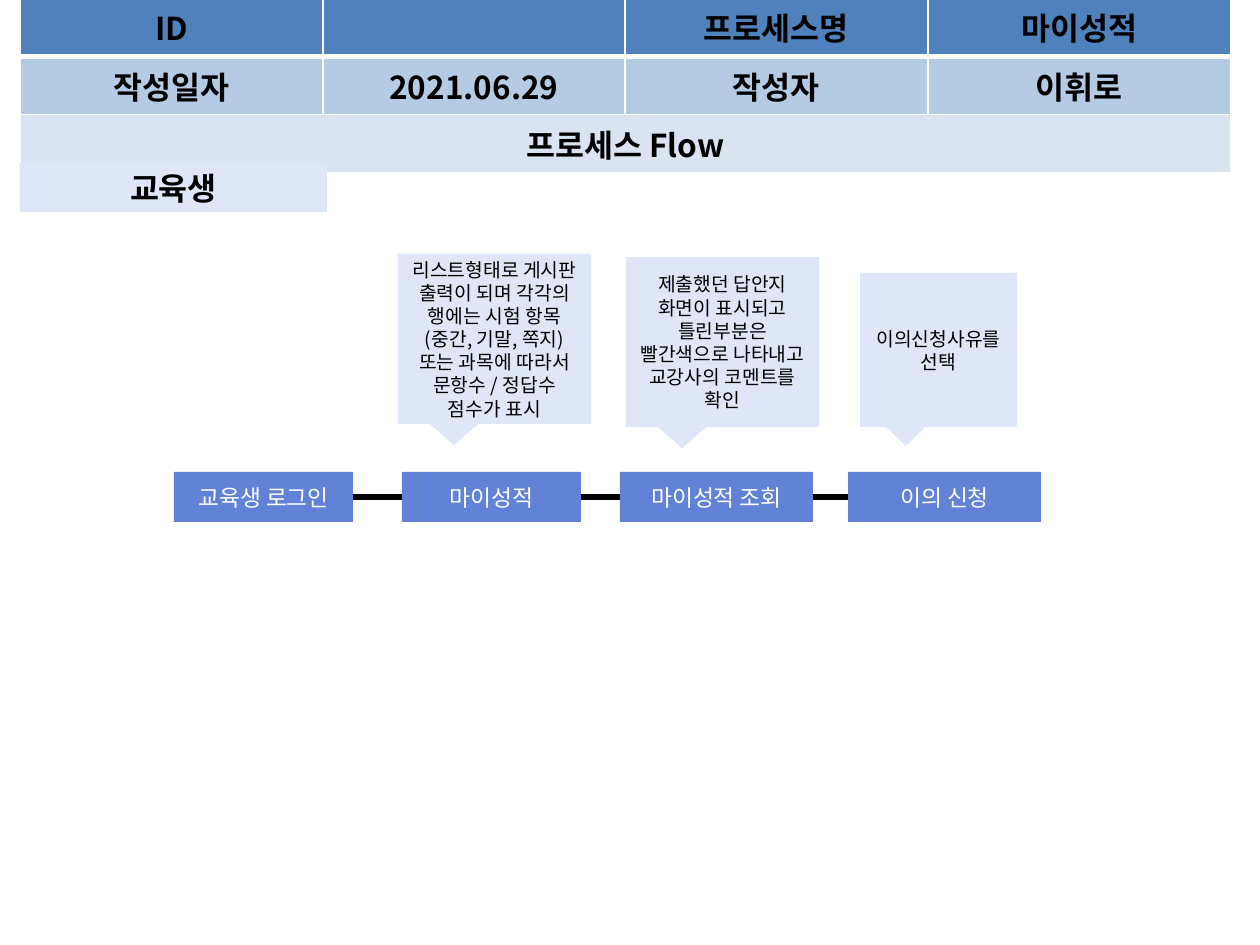
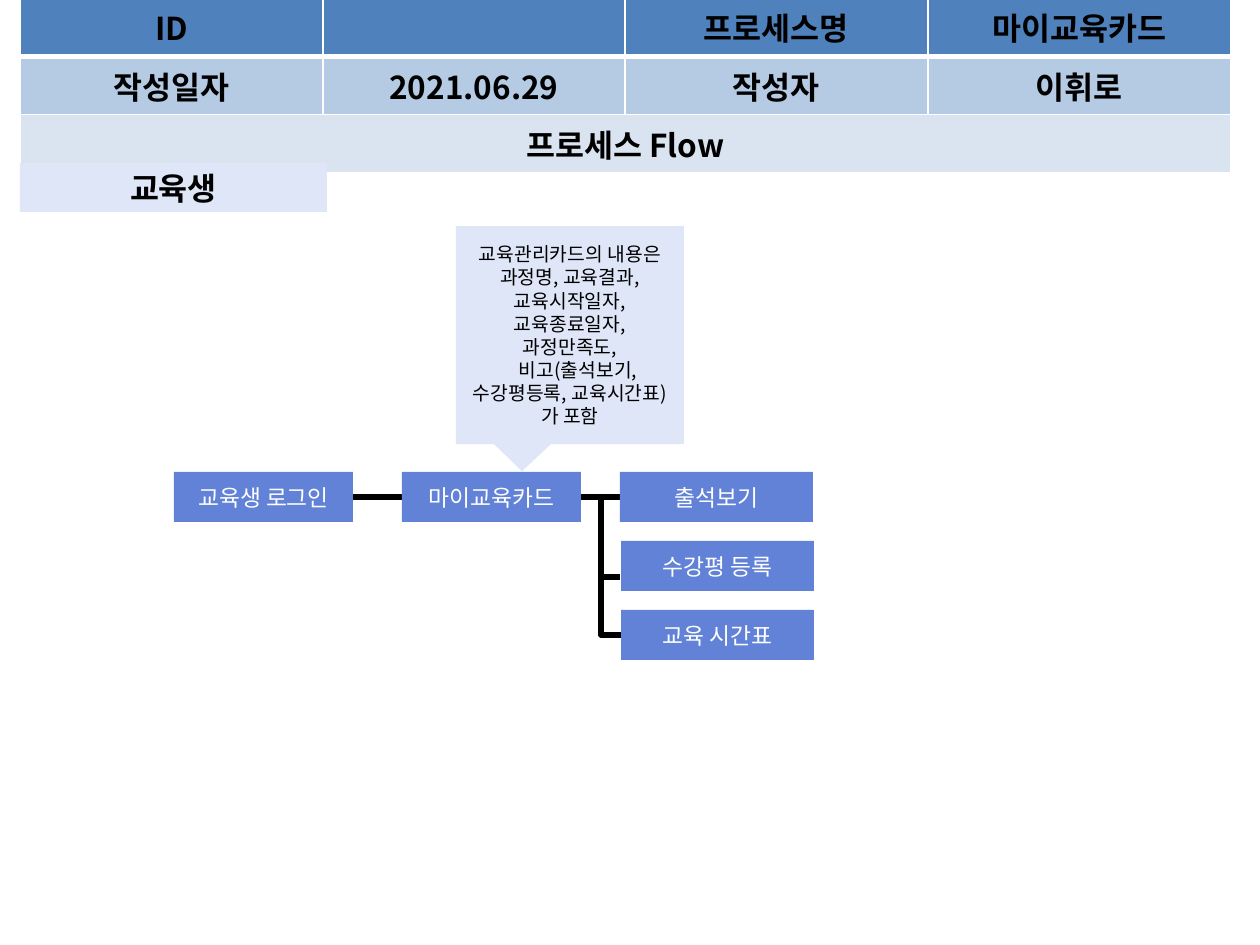
from dataclasses import dataclass

from lxml.etree import SubElement
from pptx import Presentation
from pptx.dml.color import RGBColor
from pptx.enum.shapes import MSO_CONNECTOR, MSO_SHAPE
from pptx.enum.text import MSO_ANCHOR, PP_ALIGN
from pptx.oxml.ns import qn
from pptx.util import Inches, Pt


# Theme and scale
@dataclass(frozen=True)
class Theme:
    font: str = "Noto Sans CJK KR"
    black: str = "000000"
    white: str = "FFFFFF"
    step: str = "6182D6"
    pale: str = "DFE6F7"
    rows: tuple = ("4F81BD", "B5CAE3", "DAE4F1")
    head: int = 18
    body: int = 13
    note: int = 11
    thin: int = 1
    thick: int = 3


THEME = Theme()
SCALE = 914400 / 126


def px(n: float) -> int:
    return round(n * SCALE)


def color(code: str) -> RGBColor:
    return RGBColor.from_string(code)


# Parts of a slide
@dataclass(frozen=True)
class Box:
    text: str
    left: int
    top: int
    wide: int
    high: int


@dataclass(frozen=True)
class Wire:
    start: tuple[int, int]
    end: tuple[int, int]
    bend: float | None = None


@dataclass(frozen=True)
class Flow:
    name: str
    wires: list[Wire]
    steps: list[Box]
    notes: list[Box]


COLS = (129, 174, 302, 303, 303)
ROW = 52
STEP_TOP, STEP_HIGH = 472, 50
MID = STEP_TOP + STEP_HIGH // 2
BAND = Box("교육생", 20, 163, 307, 49)


def step(text: str, left: int, wide: int, top: int = STEP_TOP) -> Box:
    return Box(text, left, top, wide, STEP_HIGH)


# Text
def write(frame, text: str, *, size: int, ink: str = THEME.black,
          bold: bool = False, indent: int = 0) -> None:
    """Fill a frame with centred text; indent moves later paragraphs."""
    frame.word_wrap = True
    for i, line in enumerate(text.split("\n")):
        para = frame.add_paragraph() if i else frame.paragraphs[0]
        para.alignment = PP_ALIGN.CENTER
        if i and indent:
            para._p.get_or_add_pPr().set("indent", str(px(indent)))
        run = para.add_run()
        run.text = line
        font = run.font
        font.size, font.bold, font.name = Pt(size), bold, THEME.font
        font.color.rgb = color(ink)
        SubElement(run._r.get_or_add_rPr(), qn("a:ea"), typeface=THEME.font)


# Shapes and lines
def block(slide, box: Box, fill: str, kind=MSO_SHAPE.RECTANGLE, **form):
    shape = slide.shapes.add_shape(
        kind, px(box.left), px(box.top), px(box.wide), px(box.high))
    shape.shadow.inherit = False
    shape.fill.solid()
    shape.fill.fore_color.rgb = color(fill)
    shape.line.fill.background()
    shape.text_frame.vertical_anchor = MSO_ANCHOR.MIDDLE
    write(shape.text_frame, box.text, **form)
    return shape


def callout(slide, box: Box) -> None:
    shape = block(slide, box, THEME.pale, MSO_SHAPE.RECTANGULAR_CALLOUT,
                  size=THEME.note, indent=16)
    shape.adjustments[0], shape.adjustments[1] = -0.21, 0.625


def link(slide, wire: Wire) -> None:
    kind = MSO_CONNECTOR.STRAIGHT if wire.bend is None else MSO_CONNECTOR.ELBOW
    line = slide.shapes.add_connector(
        kind, *(px(n) for n in wire.start + wire.end))
    line.line.color.rgb = color(THEME.black)
    line.line.width = Pt(THEME.thick)
    props = line._element.spPr
    SubElement(props, qn("a:effectLst"))
    if wire.bend is not None:
        geom = props.find(qn("a:prstGeom"))
        vals = geom.find(qn("a:avLst"))
        if vals is None:
            vals = SubElement(geom, qn("a:avLst"))
        SubElement(vals, qn("a:gd"), name="adj1",
                   fmla=f"val {round(wire.bend * 100000)}")


# Header table
def border(cell, row: int) -> None:
    props = cell._tc.get_or_add_tcPr()
    for side in "LRTB":
        heavy = (row, side) in ((0, "B"), (1, "T"))
        width = THEME.thick if heavy else THEME.thin
        edge = SubElement(props, qn(f"a:ln{side}"), w=str(Pt(width)))
        paint = SubElement(edge, qn("a:solidFill"))
        SubElement(paint, qn("a:srgbClr"), val=THEME.white)


def header(slide, name: str) -> None:
    rows = (
        ("ID", "", "", "프로세스명", name),
        ("작성일자", "", "2021.06.29", "작성자", "이휘로"),
        ("프로세스 Flow", "", "", "", ""),
    )
    table = slide.shapes.add_table(
        len(rows), len(COLS), px(20), px(-2),
        px(sum(COLS)), px(ROW * len(rows))).table
    for col, wide in zip(table.columns, COLS):
        col.width = px(wide)
    for r, texts in enumerate(rows):
        table.rows[r].height = px(ROW)
        for c, text in enumerate(texts):
            cell = table.cell(r, c)
            border(cell, r)
            cell.fill.solid()
            cell.fill.fore_color.rgb = color(THEME.rows[r])
            if text:
                write(cell.text_frame, text, size=THEME.head, bold=True)
    for r, last in enumerate((1, 1, len(COLS) - 1)):
        table.cell(r, 0).merge(table.cell(r, last))


def draw(deck, flow: Flow) -> None:
    slide = deck.slides.add_slide(deck.slide_layouts[6])
    for wire in flow.wires:
        link(slide, wire)
    header(slide, flow.name)
    block(slide, BAND, THEME.pale, size=THEME.head, bold=True)
    for box in flow.steps:
        block(slide, box, THEME.step, size=THEME.body, ink=THEME.white)
    for box in flow.notes:
        callout(slide, box)


# Content
LOGIN = step("교육생 로그인", 174, 179)

FLOWS = [
    Flow(
        "마이성적",
        [Wire((353, MID), (848, MID))],
        [LOGIN, step("마이성적", 402, 179),
         step("마이성적 조회", 620, 193), step("이의 신청", 848, 193)],
        [Box("리스트형태로 게시판 출력이 되며 각각의 행에는 시험 항목"
             "(중간, 기말, 쪽지) 또는 과목에 따라서 문항수 / 정답수 "
             "점수가 표시", 398, 254, 193, 170),
         Box("제출했던 답안지 화면이 표시되고 틀린부분은 빨간색으로 "
             "나타내고 교강사의 코멘트를 확인", 626, 257, 193, 170),
         Box("이의신청사유를 선택", 860, 273, 157, 154)],
    ),
    Flow(
        "마이교육카드",
        [Wire((571, MID), (620, 577), 0.62),
         Wire((581, MID), (621, 635), 0.5),
         Wire((353, MID), (620, MID))],
        [LOGIN, step("마이교육카드", 402, 179), step("출석보기", 620, 193),
         step("수강평 등록", 621, 193, 541),
         step("교육 시간표", 621, 193, 610)],
        [Box("교육관리카드의 내용은 과정명, 교육결과, 교육시작일자, "
             "교육종료일자, 과정만족도,\n"
             "비고(출석보기, 수강평등록, 교육시간표)가 포함",
             456, 226, 228, 218)],
    ),
]

deck = Presentation()
deck.slide_width, deck.slide_height = Inches(10), Inches(7.5)
for flow in FLOWS:
    draw(deck, flow)
deck.save("out.pptx")
